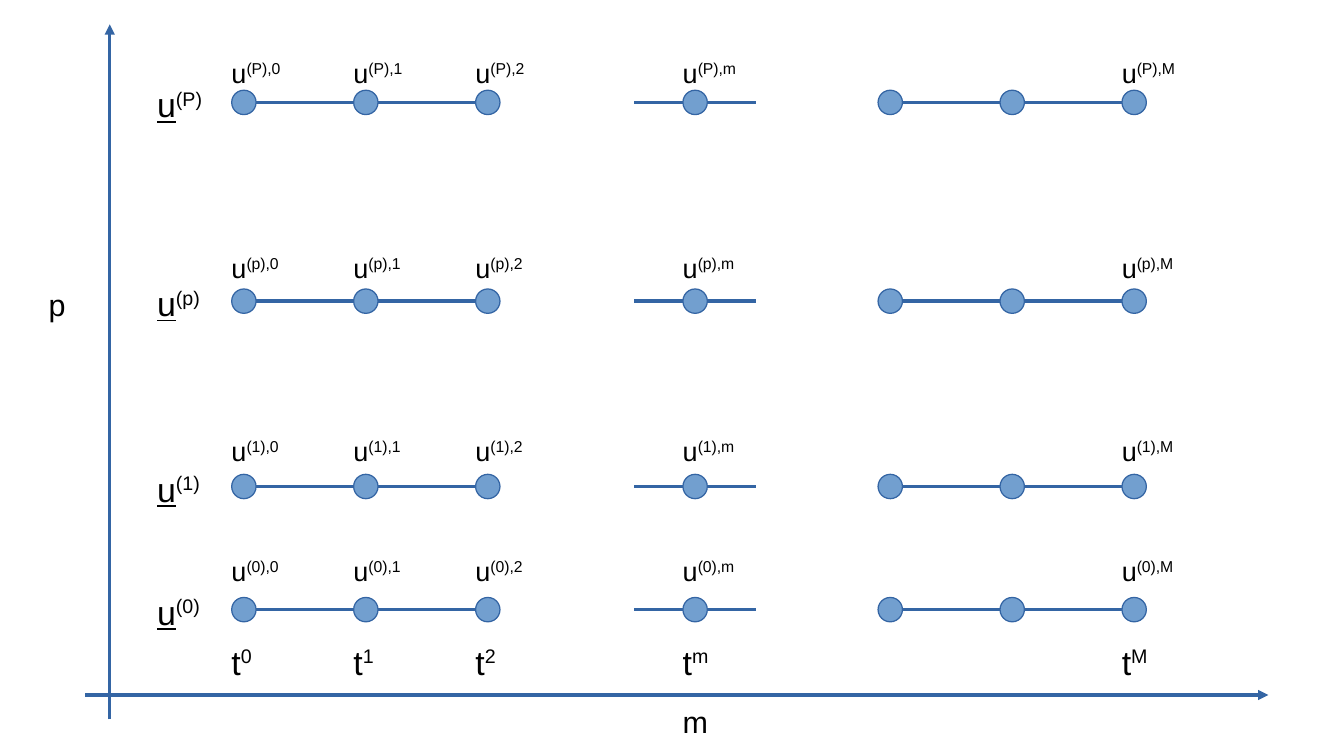
"""Build a slide showing a grid of iterates over time steps m and iterations p."""
from lxml import etree
from pptx import Presentation
from pptx.dml.color import RGBColor
from pptx.enum.shapes import MSO_CONNECTOR as Connector, MSO_SHAPE as Shape
from pptx.enum.text import MSO_AUTO_SIZE as AutoSize
from pptx.oxml.ns import qn
from pptx.util import Inches, Pt

ITERATIONS = [("0", 5, 4.5), ("1", 3.99, 3.51), ("p", 2.47, 2.01), ("P", 0.84, 0.41)]
TIME_STEPS = [("0", 2), ("1", 3), ("2", 4), ("m", 5.7), ("M", 9.3)]
NODE_XS = [2, 3, 4, 5.7, 7.3, 8.3, 9.3]
SEGMENTS = [(2, 3), (3, 4), (5.2, 6.2), (7.3, 8.3), (8.3, 9.3)]
AXES = [((0.9, 5.9), (0.9, 0.2)), ((0.7, 5.7), (10.4, 5.7))]
AXIS_NAMES = [("p", 0.3, 2.3), ("m", 5.5, 5.72)]
NODE_SIZE = 0.2
LABEL_OFFSET = 0.2
LINE_COLOR, NODE_COLOR, TEXT_COLOR = "3465A4", "729FCF", "000000"


def color(hex_value):
    return RGBColor.from_string(hex_value)


def add_line(slide, start, end, arrow=False):
    line = slide.shapes.add_connector(Connector.STRAIGHT, *map(Inches, start + end))
    line.line.color.rgb = color(LINE_COLOR)
    line.line.width = Pt(0)
    if arrow:
        etree.SubElement(line.line._get_or_add_ln(), qn("a:tailEnd"), type="triangle")
    etree.SubElement(line._element.spPr, qn("a:effectLst"))


def add_node(slide, x, y):
    corner = (x - NODE_SIZE / 2, y - NODE_SIZE / 2)
    node = slide.shapes.add_shape(
        Shape.OVAL, *map(Inches, corner + (NODE_SIZE, NODE_SIZE)))
    node.shadow.inherit = False
    node.fill.solid()
    node.fill.fore_color.rgb = color(NODE_COLOR)
    node.line.color.rgb = color(LINE_COLOR)
    node.line.width = Pt(0)


def add_label(slide, box, size, base, superscript="", underline=False):
    frame = slide.shapes.add_textbox(*map(Inches, box)).text_frame
    frame.word_wrap = True
    frame.auto_size = AutoSize.SHAPE_TO_FIT_TEXT
    paragraph = frame.paragraphs[0]
    paragraph.font.name = "Arial"
    paragraph.font.size = Pt(size)
    paragraph.font.color.rgb = color(TEXT_COLOR)
    symbol = paragraph.add_run()
    symbol.text = base
    if underline:
        symbol.font.underline = True
    if superscript:
        index = paragraph.add_run()
        index.text = superscript
        index._r.get_or_add_rPr().set("baseline", "33000")


def main():
    prs = Presentation()
    prs.slide_width, prs.slide_height = Inches(11.02), Inches(6.2)
    slide = prs.slides.add_slide(prs.slide_layouts[6])

    for iteration, y, label_top in ITERATIONS:
        for start, end in SEGMENTS:
            add_line(slide, (start, y), (end, y))
        for x in NODE_XS:
            add_node(slide, x, y)
        add_label(slide, (1.19, y - LABEL_OFFSET, 0.8, 0.41), 20,
                  "u", f"({iteration})", underline=True)
        for step, x in TIME_STEPS:
            add_label(slide, (x - LABEL_OFFSET, label_top, 0.8, 0.4), 16,
                      "u", f"({iteration}),{step}")

    for step, x in TIME_STEPS:
        add_label(slide, (x - LABEL_OFFSET, 5.21, 0.5, 0.41), 20, "t", step)
    for name, left, top in AXIS_NAMES:
        add_label(slide, (left, top, 0.4, 0.38), 18, name)
    for start, end in AXES:
        add_line(slide, start, end, arrow=True)

    prs.save("out.pptx")


if __name__ == "__main__":
    main()
